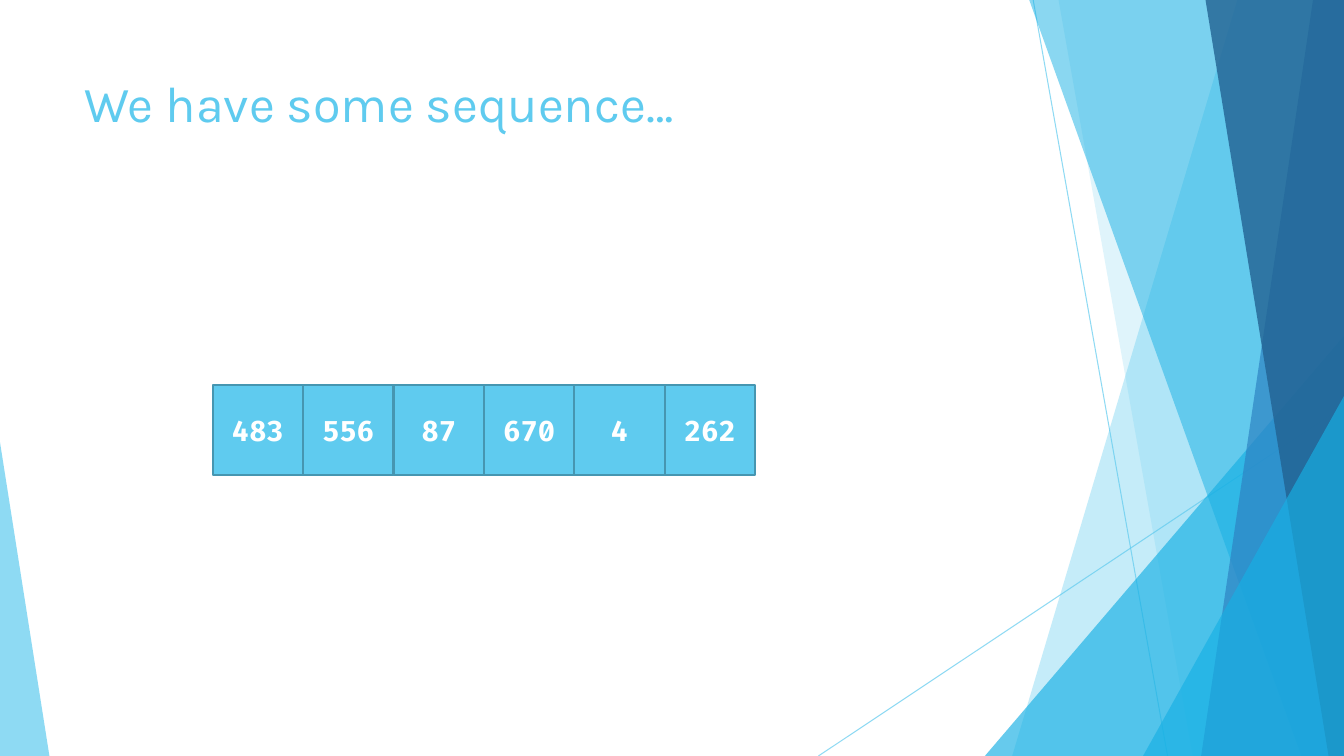
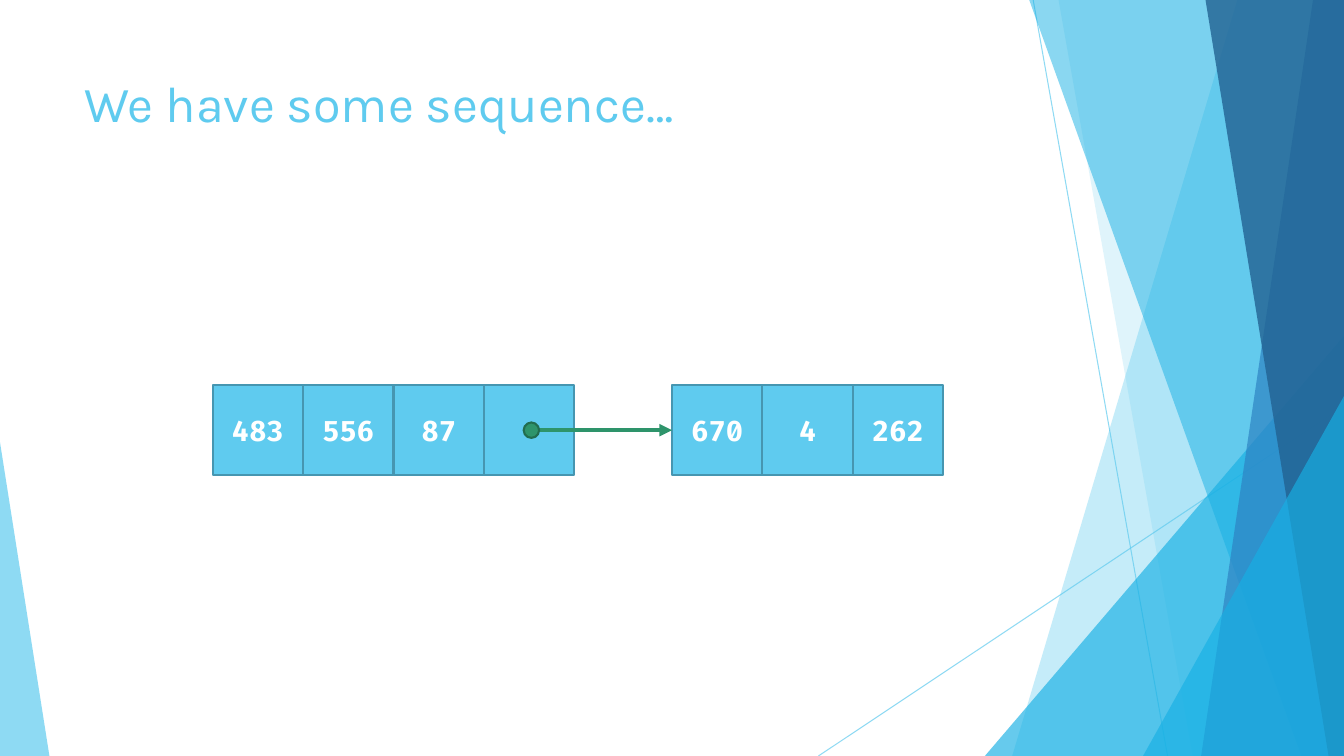
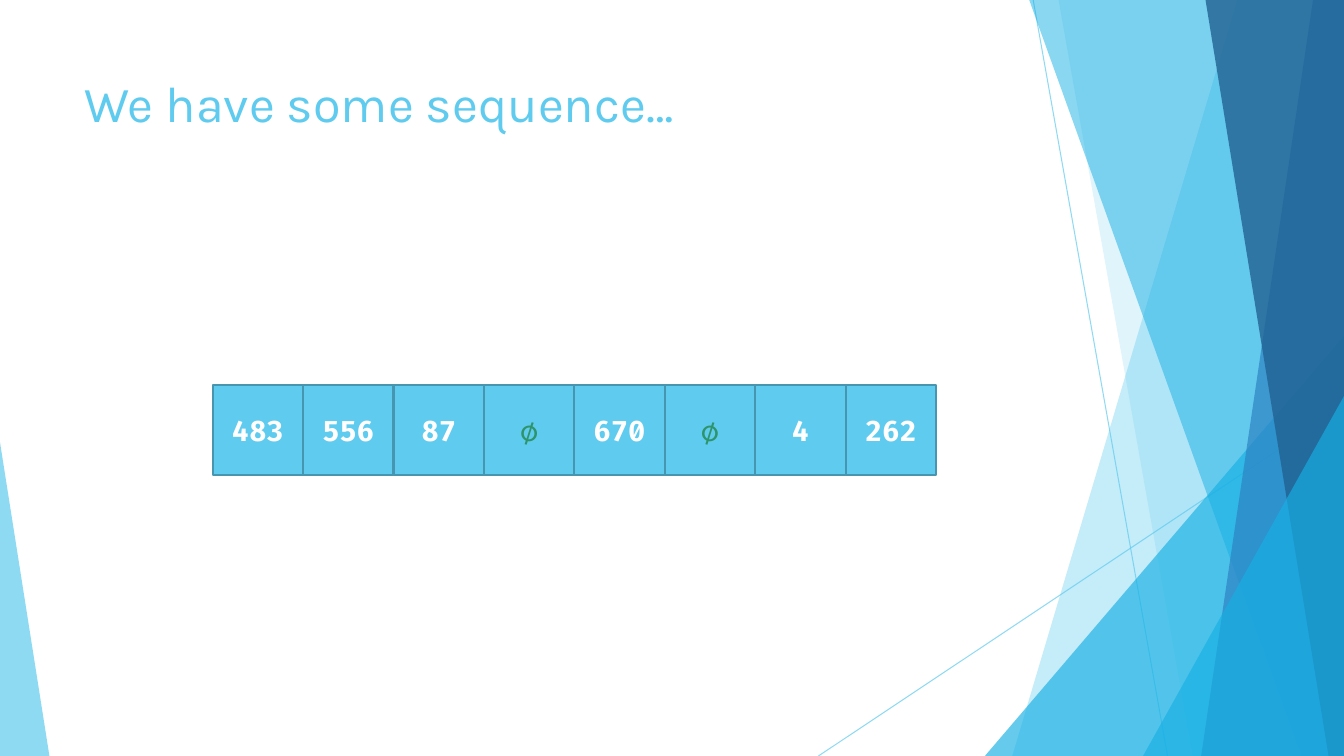
from dataclasses import dataclass

from lxml import etree
from pptx import Presentation
from pptx.dml.color import RGBColor
from pptx.enum.shapes import MSO_CONNECTOR, MSO_SHAPE
from pptx.enum.text import MSO_ANCHOR, PP_ALIGN
from pptx.oxml.ns import qn
from pptx.util import Pt

RECT, OVAL = MSO_SHAPE.RECTANGLE, MSO_SHAPE.OVAL
TRIANGLE = MSO_SHAPE.ISOSCELES_TRIANGLE
STRAIGHT = MSO_CONNECTOR.STRAIGHT
MIDDLE, CENTER = MSO_ANCHOR.MIDDLE, PP_ALIGN.CENTER
LEFT_SIDE = 1

COLORS = {
    "white": "FFFFFF",
    "sky": "5FCBEF",
    "cyan": "17B0E4",
    "blue": "2E83C3",
    "navy": "226292",
    "cell_line": "4696B1",
    "green": "2E946B",
    "dark_green": "226D4F",
}
TITLE_FONT, CELL_FONT = "Karla", "Fira Code"
TITLE = "We have some sequence…"
EMPTY = "∅"

WIDTH, HEIGHT = 960, 540
FACET_TOP = -0.6
CELL = 64.6
ROW_LEFT, ROW_TOP = 151.9, 275
ROW_MIDDLE = ROW_TOP + CELL / 2
LINKED_LEFT = 480
DOT_X, DOT_SIZE = 379.6, 11


@dataclass(frozen=True)
class Ray:
    x1: float
    y1: float
    x2: float
    y2: float


@dataclass(frozen=True)
class Facet:
    """A band from a slanted left edge to the right side of the slide."""
    top_x: float
    bottom_x: float
    color: str
    opacity: int


@dataclass(frozen=True)
class Wedge:
    """A right triangle standing on the bottom edge of the slide."""
    left: float
    top: float
    width: float
    apex: float
    color: str
    opacity: int


RAYS = [Ray(738, 0, 834, HEIGHT), Ray(WIDTH, 290, 584.6, HEIGHT)]
BACKDROP = [
    Facet(884, 723, "sky", 36),
    Facet(756, 852, "sky", 20),
    Wedge(703.5, 239.8, 256.5, 1, "cyan", 66),
    Facet(735, 929.5, "cyan", 50),
    Facet(938, 858, "blue", 70),
    Facet(861, 949, "navy", 80),
    Wedge(816.5, 283, 143.5, 1, "cyan", 66),
    Wedge(0, 316, 35.3, 0, "sky", 70),
]


def rgb(name: str) -> RGBColor:
    return RGBColor.from_string(COLORS[name])


def set_opacity(sp, percent: int) -> None:
    for color in sp._element.spPr.iter(qn("a:srgbClr")):
        etree.SubElement(color, qn("a:alpha"), val=str(percent * 1000))


def paint(sp, fill: str, line: str | None = None) -> None:
    sp.shadow.inherit = False
    sp.fill.solid()
    sp.fill.fore_color.rgb = rgb(fill)
    if line is None:
        sp.line.fill.background()
    else:
        sp.line.color.rgb = rgb(line)
        sp.line.width = Pt(1.5)


def add_line(slide, ray: Ray, color: str, width: float):
    cn = slide.shapes.add_connector(
        STRAIGHT, Pt(ray.x1), Pt(ray.y1), Pt(ray.x2), Pt(ray.y2))
    cn.line.color.rgb = rgb(color)
    cn.line.width = Pt(width)
    etree.SubElement(cn._element.spPr, qn("a:effectLst"))
    return cn


def add_facet(slide, facet: Facet):
    builder = slide.shapes.build_freeform(Pt(facet.top_x), Pt(FACET_TOP))
    corners = [(WIDTH, FACET_TOP), (WIDTH, HEIGHT), (facet.bottom_x, HEIGHT)]
    builder.add_line_segments([(Pt(x), Pt(y)) for x, y in corners])
    return builder.convert_to_shape()


def add_wedge(slide, wedge: Wedge):
    sp = slide.shapes.add_shape(TRIANGLE, Pt(wedge.left), Pt(wedge.top),
                                Pt(wedge.width), Pt(HEIGHT - wedge.top))
    sp.adjustments[0] = wedge.apex
    return sp


def build_backdrop(slide, layout) -> None:
    """Draw the backdrop once, then move it to the layout all slides share."""
    tree = layout.shapes._spTree
    for placeholder in list(layout.placeholders):
        tree.remove(placeholder._element)
    for ray in RAYS:
        set_opacity(add_line(slide, ray, "sky", 0.75), 70)
    for part in BACKDROP:
        draw = add_facet if isinstance(part, Facet) else add_wedge
        sp = draw(slide, part)
        paint(sp, part.color)
        set_opacity(sp, part.opacity)
    for sp in list(slide.shapes):
        tree.append(sp._element)


def add_title(slide, text: str) -> None:
    tf = slide.shapes.add_textbox(
        Pt(53.3), Pt(48), Pt(677), Pt(104)).text_frame
    tf.word_wrap = True
    tf.text = text
    font = tf.paragraphs[0].runs[0].font
    font.name, font.size = TITLE_FONT, Pt(36)
    font.color.rgb = rgb("sky")


def add_cell(slide, left: float, value: str):
    sp = slide.shapes.add_shape(RECT, Pt(left), Pt(ROW_TOP), Pt(CELL), Pt(CELL))
    paint(sp, "sky", "cell_line")
    if value:
        tf = sp.text_frame
        tf.text = value
        tf.vertical_anchor = MIDDLE
        p = tf.paragraphs[0]
        p.alignment = CENTER
        font = p.runs[0].font
        font.name, font.size = CELL_FONT, Pt(20)
        font.bold = value != EMPTY
        font.color.rgb = rgb("green" if value == EMPTY else "white")
    return sp


def add_row(slide, left: float, values: list[str]) -> list:
    return [add_cell(slide, left + i * CELL, v) for i, v in enumerate(values)]


def add_pointer(slide, target) -> None:
    ray = Ray(DOT_X, ROW_MIDDLE, LINKED_LEFT, ROW_MIDDLE)
    cn = add_line(slide, ray, "green", 3)
    cn.end_connect(target, LEFT_SIDE)
    ln = cn._element.spPr.find(qn("a:ln"))
    etree.SubElement(ln, qn("a:tailEnd"), type="triangle")
    dot = slide.shapes.add_shape(
        OVAL, Pt(DOT_X - DOT_SIZE / 2), Pt(ROW_MIDDLE - DOT_SIZE / 2),
        Pt(DOT_SIZE), Pt(DOT_SIZE))
    paint(dot, "green", "dark_green")


def main() -> None:
    prs = Presentation()
    prs.slide_width, prs.slide_height = Pt(WIDTH), Pt(HEIGHT)
    layout = prs.slide_layouts[6]
    slides = [prs.slides.add_slide(layout) for _ in range(3)]
    build_backdrop(slides[0], layout)
    for slide in slides:
        add_title(slide, TITLE)
    array, linked, gapped = slides

    add_row(array, ROW_LEFT, ["483", "556", "87", "670", "4", "262"])

    add_row(linked, ROW_LEFT, ["483", "556", "87", ""])
    tail = add_row(linked, LINKED_LEFT, ["670", "4", "262"])
    add_pointer(linked, tail[0])

    add_row(gapped, ROW_LEFT,
            ["483", "556", "87", EMPTY, "670", EMPTY, "4", "262"])

    prs.save("out.pptx")


if __name__ == "__main__":
    main()
